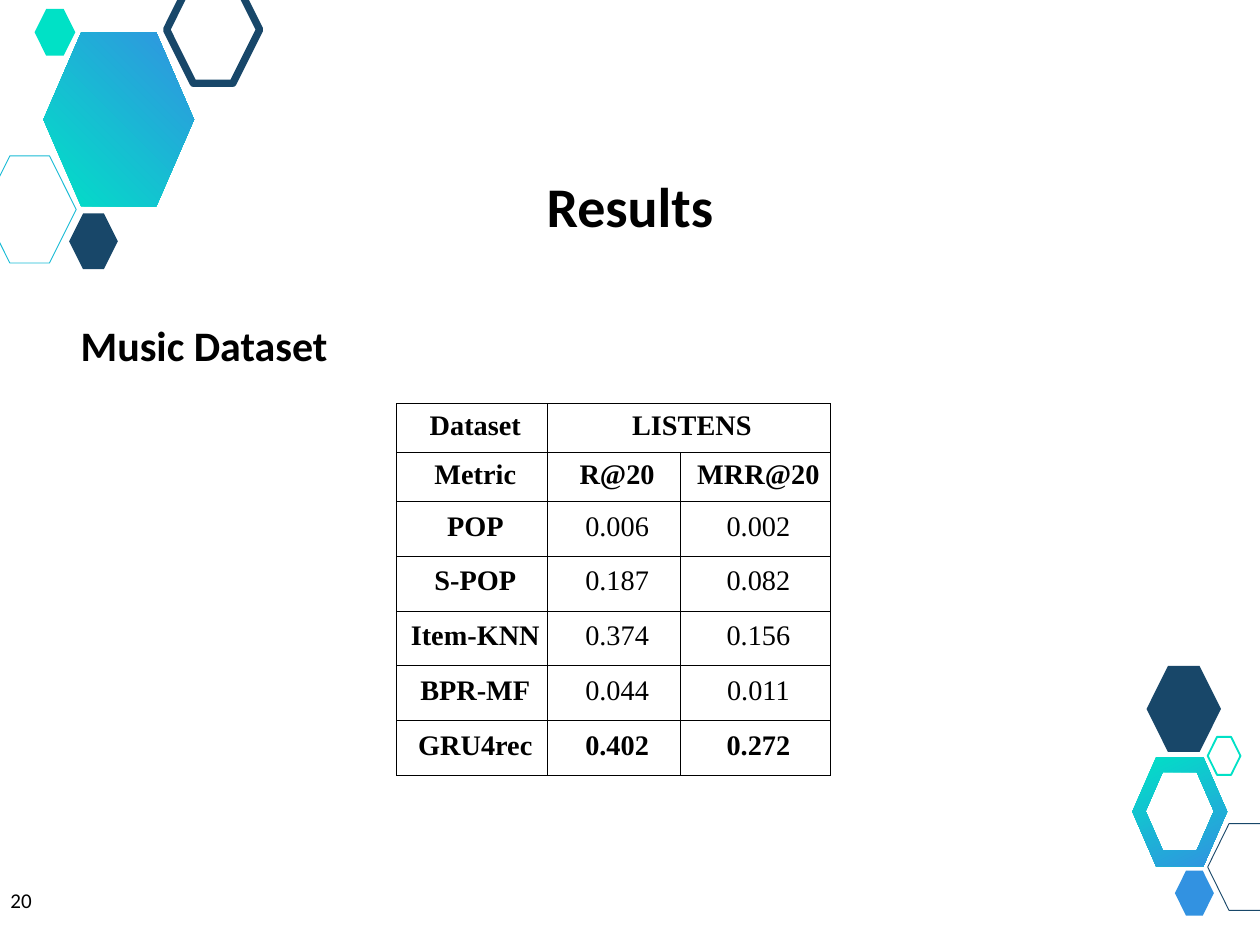
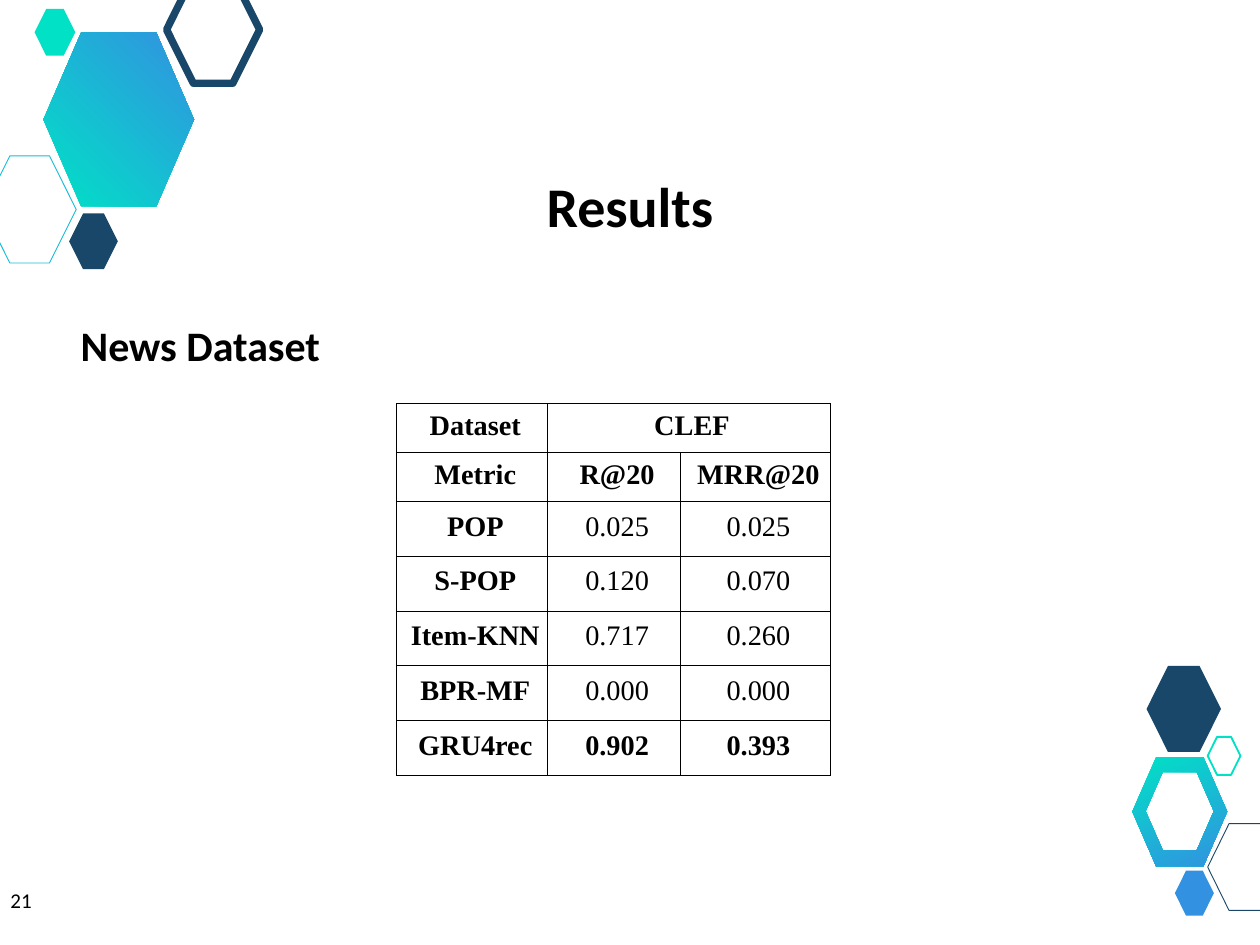
from dataclasses import dataclass

from lxml.etree import SubElement
from pptx import Presentation
from pptx.dml.color import RGBColor
from pptx.enum.shapes import MSO_SHAPE
from pptx.enum.text import MSO_ANCHOR, MSO_AUTO_SIZE, PP_ALIGN
from pptx.oxml import parse_xml
from pptx.oxml.ns import nsdecls, qn
from pptx.util import Inches, Pt

SLIDES = [
    dict(number="20", title="Results", heading="Music Dataset", dataset="LISTENS",
         scores=[("0.006", "0.002"), ("0.187", "0.082"), ("0.374", "0.156"),
                 ("0.044", "0.011"), ("0.402", "0.272")]),
    dict(number="21", title="Results", heading="News Dataset", dataset="CLEF",
         scores=[("0.025", "0.025"), ("0.120", "0.070"), ("0.717", "0.260"),
                 ("0.000", "0.000"), ("0.902", "0.393")]),
]
METHODS = ["POP", "S-POP", "Item-KNN", "BPR-MF", "GRU4rec"]
METRICS = ("Metric", "R@20", "MRR@20")


@dataclass(frozen=True)
class Theme:
    """Colours, fonts and type sizes of the deck."""
    ink: str = "000000"
    navy: str = "184769"
    teal: str = "00E1C6"
    cyan: str = "19BBD5"
    blue: str = "3292E1"
    font: str = "Calibri"
    table_font: str = "Times New Roman"
    title: float = 45.5
    heading: float = 34.1
    cell: float = 23
    number: float = 17.1


T = Theme()
SIZE = (14.22, 10.67)
TITLE_BOX = (4.33, 1.89, 5.56, 0.85)
HEADING_BOX = (0.87, 3.57, 10.9, 0.55)
NUMBER_BOX = (0.02, 9.92, 0.85, 0.74)
TABLE_AT = (4.48, 4.56)
COLUMNS = (1.7, 1.5, 1.69)
ROWS = (0.55,) * 2 + (0.62,) * len(METHODS)

# box, colour, outline width (0 means a solid hexagon)
HEXAGONS = [
    ((-0.19, 1.76, 1.05, 1.21), T.cyan, 0.75),
    ((0.78, 2.41, 0.55, 0.63), T.navy, 0),
    ((1.88, -0.27, 1.05, 1.21), T.navy, 6),
    ((0.39, 0.1, 0.46, 0.53), T.teal, 0),
    ((13.63, 9.3, 0.84, 0.98), T.navy, 0.75),
    ((13.26, 9.83, 0.44, 0.51), T.blue, 0),
    ((12.94, 7.52, 0.84, 0.97), T.navy, 0),
    ((13.63, 8.32, 0.37, 0.43), T.teal, 1.5),
]
# boxes of the contours, gradient angle
GRADIENT_HEXAGONS = [
    ([(12.78, 8.55, 1.07, 1.23), (12.93, 8.72, 0.77, 0.88)], 296),
    ([(0.49, 0.37, 1.7, 1.96)], 45),
]


def place(sp, box):
    """Move and size a shape, in inches."""
    sp.left, sp.top, sp.width, sp.height = map(Inches, box)


def add_run(p, text, size, bold=False, font=T.font):
    """Add one run in the ink colour."""
    r = p.add_run()
    r.text = text
    r.font.name, r.font.size, r.font.bold = font, Pt(size), bold
    r.font.color.rgb = RGBColor.from_string(T.ink)


def set_frame(tf, inset, anchor):
    """Give a text frame equal insets, wrapping and an anchor."""
    tf.word_wrap = True
    tf.auto_size = MSO_AUTO_SIZE.NONE
    tf.vertical_anchor = anchor
    tf.margin_left = tf.margin_top = tf.margin_right = tf.margin_bottom = Inches(inset)


def hexagon_points(box):
    """Return the six corners of a hexagon filling a box, in EMU."""
    x, y, w, h = box
    shoulder = w / 4
    corners = [(x, y + h / 2), (x + shoulder, y), (x + w - shoulder, y),
               (x + w, y + h / 2), (x + w - shoulder, y + h), (x + shoulder, y + h)]
    return [(Inches(a), Inches(b)) for a, b in corners]


def add_gradient_hexagon(slide, boxes, angle):
    """Draw a teal to blue hexagon; a second box cuts a hole."""
    outer, *holes = map(hexagon_points, boxes)
    builder = slide.shapes.build_freeform(*outer[0])
    builder.add_line_segments(outer[1:])
    for hole in holes:
        builder.move_to(*hole[0])
        builder.add_line_segments(hole[:0:-1])
    sp = builder.convert_to_shape()
    sp.shadow.inherit = False
    sp.line.fill.background()
    sp.fill.gradient()
    sp.fill.gradient_angle = angle
    for stop, colour in zip(sp.fill.gradient_stops, (T.teal, T.blue)):
        stop.color.rgb = RGBColor.from_string(colour)
    return sp


def add_hexagon(slide, box, colour, outline):
    """Draw a solid or an outlined hexagon."""
    sp = slide.shapes.add_shape(MSO_SHAPE.HEXAGON, *map(Inches, box))
    sp.adjustments[0] = 0.287
    sp.shadow.inherit = False
    painted, empty = (sp.line.fill, sp.fill) if outline else (sp.fill, sp.line.fill)
    empty.background()
    painted.solid()
    painted.fore_color.rgb = RGBColor.from_string(colour)
    if outline:
        sp.line.width = Pt(outline)
    return sp


def decorate_layout(layout, slide):
    """Draw the hexagons and hand them to the layout all slides share."""
    shapes = [add_gradient_hexagon(slide, *spec) for spec in GRADIENT_HEXAGONS]
    shapes += [add_hexagon(slide, *spec) for spec in HEXAGONS]
    for sp in shapes:
        layout.shapes.element.append(sp.element)


def add_borders(cell):
    """Put a thin line on all four sides of a cell."""
    tc_pr = cell._tc.get_or_add_tcPr()
    for i, side in enumerate("LRTB"):
        tc_pr.insert(i, parse_xml(
            f'<a:ln{side} {nsdecls("a")} w="{Pt(1)}"><a:solidFill>'
            f'<a:srgbClr val="{T.ink}"/></a:solidFill></a:ln{side}>'))


def fill_cell(cell, text, bold):
    """Format a table cell and write its text."""
    cell.fill.background()
    cell.vertical_anchor = MSO_ANCHOR.MIDDLE
    cell.margin_left = cell.margin_top = Inches(0.14)
    cell.margin_right, cell.margin_bottom = Inches(0.07), 0
    add_borders(cell)
    p = cell.text_frame.paragraphs[0]
    p.alignment, p.line_spacing = PP_ALIGN.CENTER, Pt(12)
    if text:
        add_run(p, text, T.cell, bold, T.table_font)


def add_results(slide, dataset, scores):
    """Add the table of scores; headings and the last row are bold."""
    rows = [("Dataset", dataset, ""), METRICS]
    rows += [(method, *pair) for method, pair in zip(METHODS, scores)]
    size = (sum(COLUMNS), sum(ROWS))
    table = slide.shapes.add_table(len(ROWS), len(COLUMNS),
                                   *map(Inches, TABLE_AT + size)).table
    table.first_row = table.horz_banding = False
    for column, width in zip(table.columns, COLUMNS):
        column.width = Inches(width)
    for i, (row, height) in enumerate(zip(rows, ROWS)):
        table.rows[i].height = Inches(height)
        for j, text in enumerate(row):
            fill_cell(table.cell(i, j), text, j == 0 or i < 2 or i == len(rows) - 1)
    table.cell(0, 1).merge(table.cell(0, 2))


def add_slide(prs, layout, content):
    """Build one results slide."""
    slide = prs.slides.add_slide(layout)
    title, heading = slide.placeholders
    number = slide.shapes.add_textbox(*map(Inches, NUMBER_BOX))
    set_frame(number.text_frame, 0.1, MSO_ANCHOR.TOP)
    add_run(number.text_frame.paragraphs[0], content["number"], T.number)

    set_frame(title.text_frame, 0.04, MSO_ANCHOR.MIDDLE)
    p = title.text_frame.paragraphs[0]
    p.alignment = PP_ALIGN.CENTER
    add_run(p, content["title"], T.title, True)

    set_frame(heading.text_frame, 0.04, MSO_ANCHOR.TOP)
    p = heading.text_frame.paragraphs[0]
    p.space_before = Pt(0)
    p_pr = p._p.get_or_add_pPr()
    p_pr.set("marL", "0")
    p_pr.set("indent", "0")
    SubElement(p_pr, qn("a:buNone"))
    add_run(p, content["heading"], T.heading, True)

    add_results(slide, content["dataset"], content["scores"])
    return slide


def main():
    """Build and save the deck."""
    prs = Presentation()
    prs.slide_width, prs.slide_height = map(Inches, SIZE)
    layout = prs.slide_layouts.get_by_name("Title and Content")
    for sp, box in zip(layout.placeholders, (TITLE_BOX, HEADING_BOX)):
        place(sp, box)
    slides = [add_slide(prs, layout, content) for content in SLIDES]
    decorate_layout(layout, slides[0])
    prs.save("out.pptx")


main()
